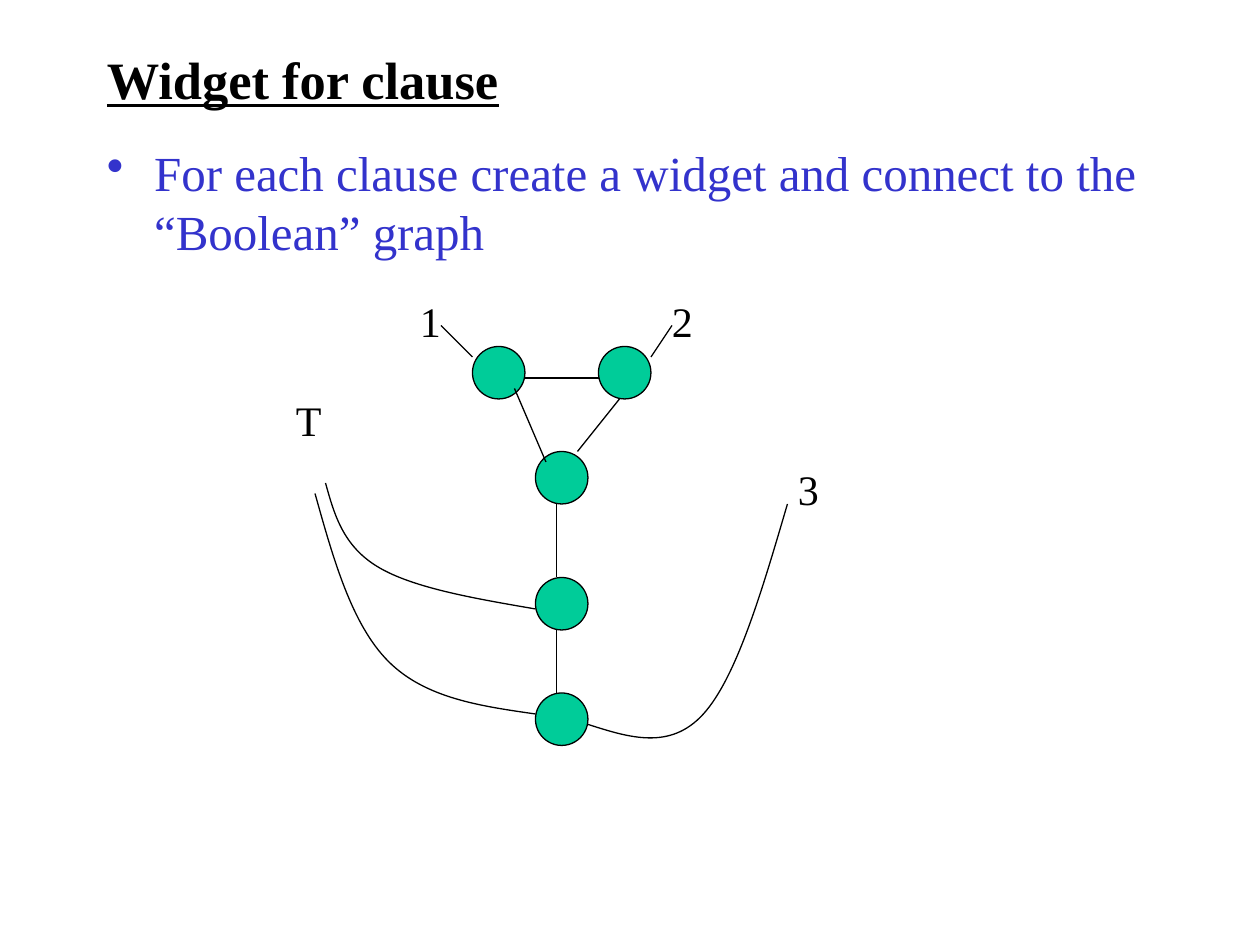
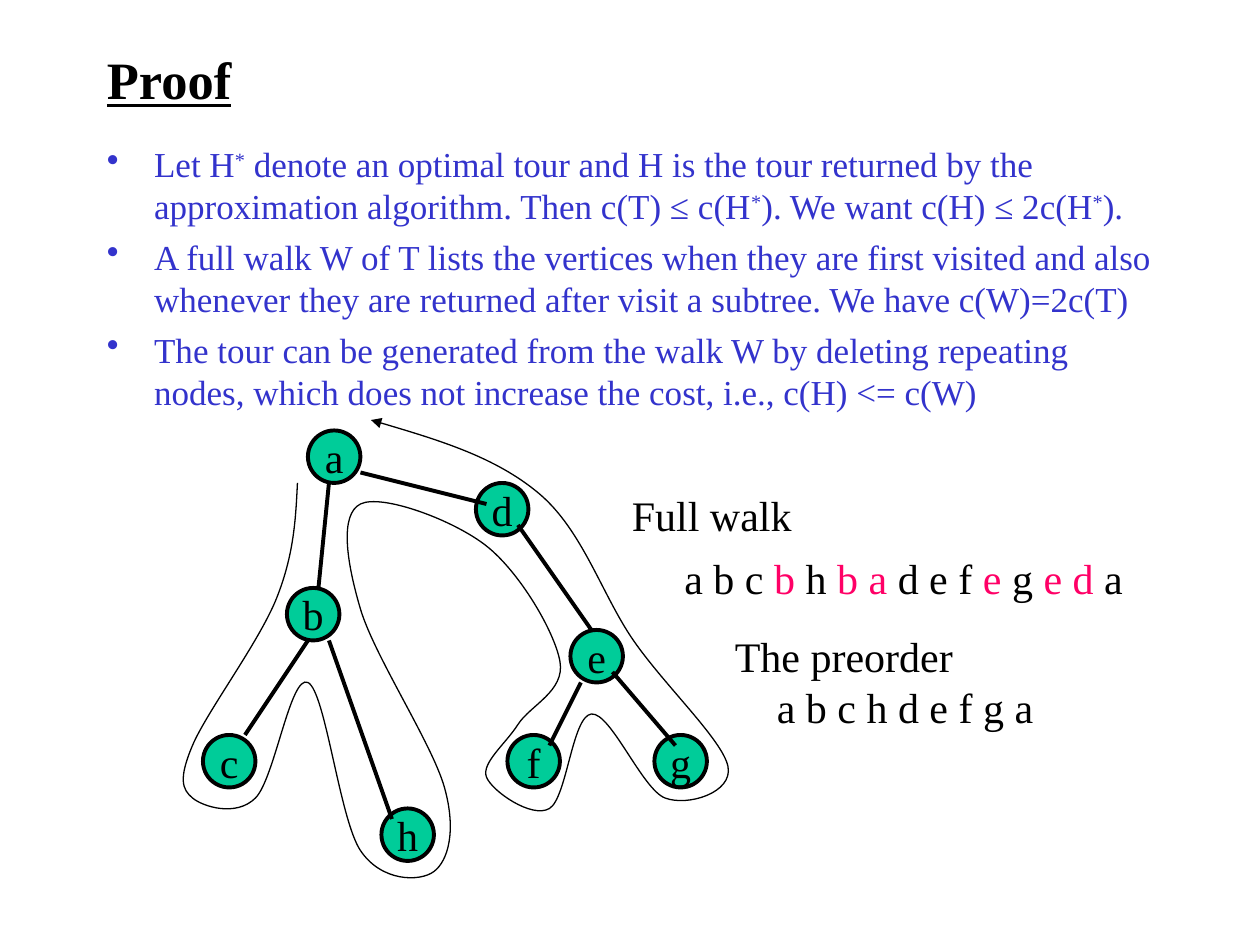
from dataclasses import dataclass

from lxml.etree import SubElement
from pptx import Presentation
from pptx.dml.color import RGBColor
from pptx.enum.shapes import MSO_CONNECTOR, MSO_SHAPE
from pptx.enum.text import MSO_ANCHOR, PP_ALIGN
from pptx.oxml.ns import qn
from pptx.util import Inches, Pt

# All lengths are in grid units: the slide is 120 columns by 90 rows.
COLUMNS, ROWS = 120, 90
NODE_SIZE = 5
LABEL_HEIGHT = 6
TITLE_AREA = (9, 4, 81, 7)
BODY_AREA = (9, 13, 102, 67)


@dataclass(frozen=True)
class Theme:
    font: str = "Times New Roman"
    ink: RGBColor = RGBColor(0x00, 0x00, 0x00)
    bullet: RGBColor = RGBColor(0x33, 0x33, 0xCC)
    node: RGBColor = RGBColor(0x00, 0xCC, 0x99)
    repeat: RGBColor = RGBColor(0xFF, 0x00, 0x66)
    title_size: int = 30
    label_size: int = 24
    thin: float = 0.75
    thick: float = 2.25


THEME = Theme()

# A paragraph is a list of (text, style) runs; style is "", "sup" or "repeat".
WIDGET = {
    "title": "Widget for clause",
    "bullet_size": 28,
    "bullet_gap": 7,
    "bullets": [
        [("For each clause create a widget and connect to the “Boolean” graph", "")],
    ],
    "origin": (0, 0),
    "line_width": THEME.thin,
    "nodes": [("", 45, 33), ("", 57, 33), ("", 51, 43), ("", 51, 55), ("", 51, 66)],
    "edges": [
        (50, 36, 57, 36), (49, 37, 52, 44), (59, 38, 55, 43), (53, 48, 53, 55),
        (53, 60, 53, 66), (45, 34, 42, 31), (62, 34, 64, 31),
    ],
    "curves": [
        [(31, 46), (36, 54), (51, 58)],
        [(30, 47), (37, 63), (51, 68)],
        [(56, 69), (67, 68), (75, 48)],
    ],
    "arrow": False,
    # left, top, width, then (indent, runs) for each paragraph
    "labels": [
        (38.8, 27.6, 4.3, [(0, [("1", "")])]),
        (62.8, 27.6, 4.3, [(0, [("2", "")])]),
        (27, 37, 4.8, [(0, [("T", "")])]),
        (74.8, 43.6, 4.3, [(0, [("3", "")])]),
    ],
}

PROOF = {
    "title": "Proof",
    "bullet_size": 20,
    "bullet_gap": 5,
    "bullets": [
        [
            ("Let H", ""), ("*", "sup"),
            (" denote an optimal tour and H is the tour returned by the "
             "approximation algorithm. Then c(T) ≤ c(H", ""), ("*", "sup"),
            ("). We want c(H) ≤ 2c(H", ""), ("*", "sup"), (").", ""),
        ],
        [("A full walk W of T lists the vertices when they are first visited and also "
          "whenever they are returned after visit a subtree. We have c(W)=2c(T)", "")],
        [("The tour can be generated from the walk W by deleting repeating nodes, "
          "which does not increase the cost, i.e., c(H) <= c(W)", "")],
    ],
    "origin": (0.33, 0),
    "line_width": THEME.thick,
    "nodes": [
        ("a", 29, 41), ("b", 27, 56), ("c", 19, 70), ("h", 36, 77),
        ("d", 45, 46), ("e", 54, 60), ("f", 48, 70), ("g", 62, 70),
    ],
    "edges": [
        (31, 46, 30, 56), (29, 61, 23, 70), (31, 61, 37, 78), (34, 45, 46, 48),
        (49, 50, 56, 60), (55, 65, 52, 71), (58, 64, 64, 71),
    ],
    "curves": [[
        (28, 46), (26, 57), (18, 71), (18, 76), (24, 76), (29, 65), (34, 81), (41, 83),
        (42, 75), (34, 58), (34, 48), (46, 52), (53, 63), (49, 69), (46, 74), (52, 77),
        (56, 68), (63, 76), (69, 73), (60, 61), (51, 47), (35, 40),
    ]],
    "arrow": True,
    "labels": [
        (59, 46, 17.6, [(0, [("Full walk", "")])]),
        (64, 52, 44.2, [(0, [
            ("a b c ", ""), ("b", "repeat"), (" h ", ""), ("b a", "repeat"),
            (" d e f ", ""), ("e", "repeat"), (" g", ""), (" e d", "repeat"), (" a", ""),
        ])]),
        (68.8, 59.5, 30.8, [
            (0, [("The preorder", "")]),
            (4, [("a b c h d e f g a", "")]),
        ]),
    ],
}


def grid(*units):
    return [Inches(unit * 10 / COLUMNS) for unit in units]


def fill_paragraph(paragraph, runs, size, color):
    paragraph.font.name = THEME.font
    paragraph.font.size = Pt(size)
    paragraph.font.color.rgb = color
    for text, style in runs:
        run = paragraph.add_run()
        run.text = text
        if style == "sup":
            run._r.get_or_add_rPr().set("baseline", "30000")
        elif style == "repeat":
            run.font.color.rgb = THEME.repeat


def add_text_frame(slide, area, wrap=True):
    frame = slide.shapes.add_textbox(*grid(*area)).text_frame
    frame.word_wrap = wrap
    return frame


def paragraphs_for(frame, items):
    """Yield each item with its paragraph, starting with the frame's first one."""
    for index, item in enumerate(items):
        yield (frame.add_paragraph() if index else frame.paragraphs[0]), item


def add_title(slide, title):
    frame = add_text_frame(slide, TITLE_AREA)
    frame.vertical_anchor = MSO_ANCHOR.MIDDLE
    paragraph = frame.paragraphs[0]
    fill_paragraph(paragraph, [(title, "")], THEME.title_size, THEME.ink)
    paragraph.font.bold = paragraph.font.underline = True


def add_bullets(slide, bullets, size, gap):
    frame = add_text_frame(slide, BODY_AREA)
    for paragraph, runs in paragraphs_for(frame, bullets):
        properties = paragraph._p.get_or_add_pPr()
        properties.set("marL", str(Inches(0.375)))
        properties.set("indent", str(-Inches(0.375)))
        SubElement(properties, qn("a:buChar")).set("char", "•")
        if paragraph is not frame.paragraphs[0] and runs is not bullets[0]:
            paragraph.space_before = Pt(gap)
        fill_paragraph(paragraph, runs, size, THEME.bullet)


def add_node(slide, label, left, top, line_width):
    node = slide.shapes.add_shape(
        MSO_SHAPE.OVAL, *grid(left, top, NODE_SIZE, NODE_SIZE))
    node.shadow.inherit = False
    node.fill.solid()
    node.fill.fore_color.rgb = THEME.node
    node.line.color.rgb = THEME.ink
    node.line.width = Pt(line_width)
    if label:
        frame = node.text_frame
        frame.word_wrap = False
        frame.vertical_anchor = MSO_ANCHOR.MIDDLE
        frame.paragraphs[0].alignment = PP_ALIGN.CENTER
        fill_paragraph(frame.paragraphs[0], [(label, "")], THEME.label_size, THEME.ink)


def add_edge(slide, ends, line_width):
    edge = slide.shapes.add_connector(MSO_CONNECTOR.STRAIGHT, *grid(*ends))
    edge.line.color.rgb = THEME.ink
    edge.line.width = Pt(line_width)
    SubElement(edge._element.spPr, qn("a:effectLst"))


def between(start, end, share):
    return tuple(a + (b - a) * share for a, b in zip(start, end))


def bezier_points(knots):
    """Return two controls and an end per segment of a smooth curve through knots."""
    incoming, outgoing = {}, {}
    for i in range(1, len(knots) - 1):
        before, knot, after = knots[i - 1:i + 2]
        slope = [(b - a) / 6 for a, b in zip(before, after)]
        incoming[i] = tuple(k - s for k, s in zip(knot, slope))
        outgoing[i] = tuple(k + s for k, s in zip(knot, slope))
    last = len(knots) - 1
    outgoing[0] = between(knots[0], incoming[1], 0.5)
    incoming[last] = between(outgoing[last - 1], knots[last], 0.5)
    return [point for i in range(last)
            for point in (outgoing[i], incoming[i + 1], knots[i + 1])]


def add_curve(slide, knots, arrow):
    builder = slide.shapes.build_freeform(*knots[0], scale=Inches(10 / COLUMNS))
    # Whole local units keep the curve exact: 1000 per grid unit.
    start = [round(value * 1000) for value in knots[0]]
    points = [[round(value * 1000) for value in point] for point in bezier_points(knots)]
    builder = slide.shapes.build_freeform(*start, scale=Inches(10 / COLUMNS) / 1000)
    builder.add_line_segments(points, close=False)
    curve = builder.convert_to_shape()
    outline = next(curve._element.iter(qn("a:path")))
    segments = outline.findall(qn("a:lnTo"))
    for first in range(0, len(segments), 3):
        bezier = SubElement(outline, qn("a:cubicBezTo"))
        for segment in segments[first:first + 3]:
            bezier.append(segment[0])
            outline.remove(segment)
    curve.shadow.inherit = False
    curve.fill.background()
    curve.line.color.rgb = THEME.ink
    curve.line.width = Pt(THEME.thin)
    if arrow:
        SubElement(curve.line._get_or_add_ln(), qn("a:tailEnd")).set("type", "triangle")


def add_label(slide, left, top, width, lines):
    area = (left, top, width, LABEL_HEIGHT * len(lines))
    frame = add_text_frame(slide, area, wrap=False)
    for paragraph, (indent, runs) in paragraphs_for(frame, lines):
        if indent:
            paragraph._p.get_or_add_pPr().set("marL", str(grid(indent)[0]))
        fill_paragraph(paragraph, runs, THEME.label_size, THEME.ink)


def add_slide(deck, content):
    slide = deck.slides.add_slide(deck.slide_layouts[6])
    add_title(slide, content["title"])
    add_bullets(slide, content["bullets"], content["bullet_size"], content["bullet_gap"])
    dx, dy = content["origin"]
    for label, left, top in content["nodes"]:
        add_node(slide, label, left + dx, top + dy, content["line_width"])
    for x1, y1, x2, y2 in content["edges"]:
        add_edge(slide, (x1 + dx, y1 + dy, x2 + dx, y2 + dy), content["line_width"])
    for knots in content["curves"]:
        add_curve(slide, [(x + dx, y + dy) for x, y in knots], content["arrow"])
    for label in content["labels"]:
        add_label(slide, *label)


def main():
    deck = Presentation()
    deck.slide_width, deck.slide_height = grid(COLUMNS, ROWS)
    for content in (WIDGET, PROOF):
        add_slide(deck, content)
    deck.save("out.pptx")


if __name__ == "__main__":
    main()
